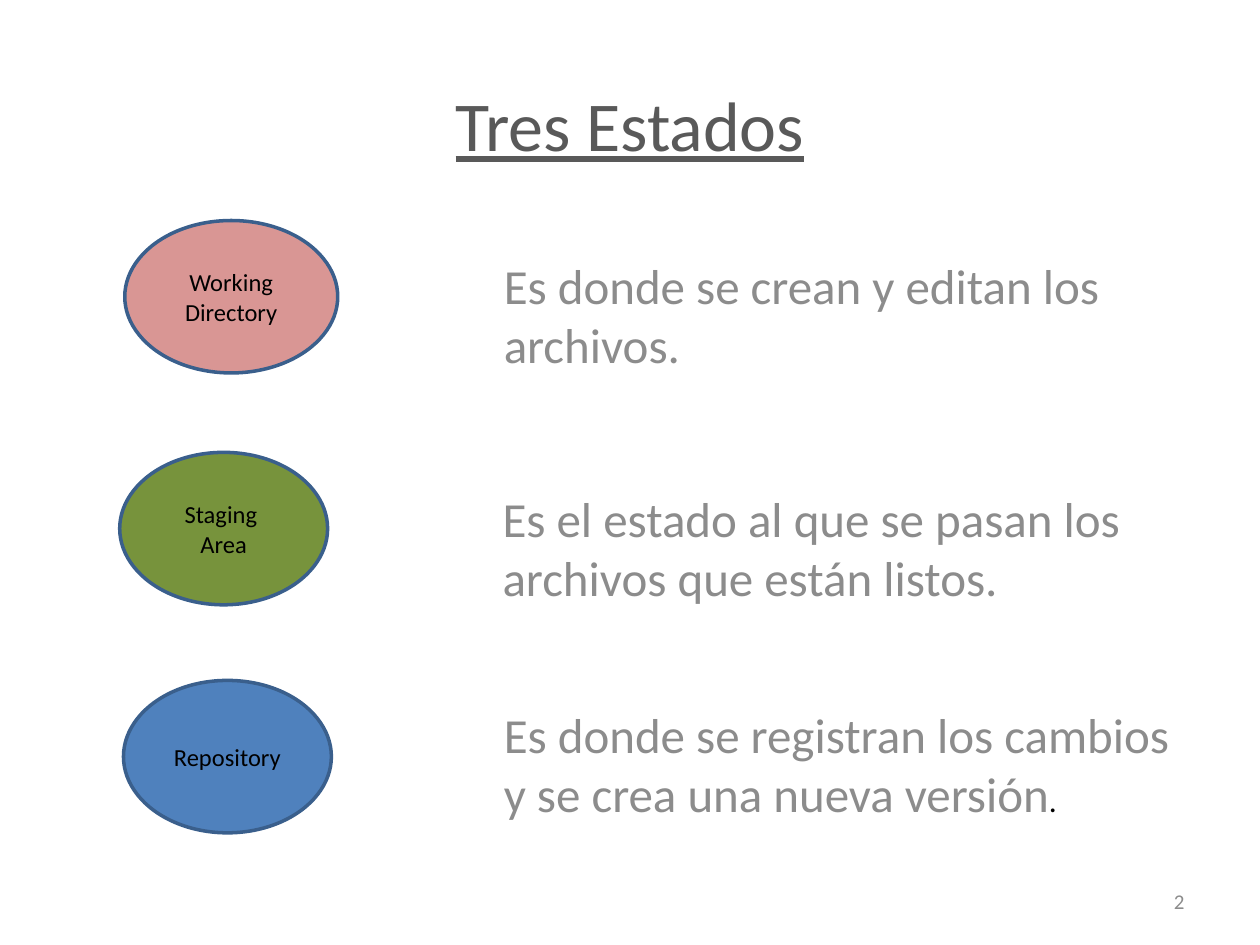
from typing import NamedTuple

from pptx import Presentation
from pptx.dml.color import RGBColor
from pptx.enum.shapes import MSO_SHAPE as Shape
from pptx.enum.text import MSO_ANCHOR as Anchor, MSO_AUTO_SIZE as AutoSize, PP_ALIGN as Align
from pptx.slide import Slide
from pptx.text.text import Font
from pptx.util import Inches, Pt

TITLE_GRAY = RGBColor(0x59, 0x59, 0x59)
TEXT_GRAY = RGBColor(0x8C, 0x8C, 0x8C)
BLACK = RGBColor(0, 0, 0)
OUTLINE = RGBColor(0x3A, 0x5F, 0x8C)
PINK = RGBColor(0xD9, 0x96, 0x94)
GREEN = RGBColor(0x77, 0x93, 0x3C)
BLUE = RGBColor(0x4F, 0x81, 0xBD)


class Box(NamedTuple):
    left: float
    top: float
    width: float
    height: float

    def lengths(self) -> list[Inches]:
        return [Inches(value) for value in self]


class State(NamedTuple):
    name: str
    fill: RGBColor
    oval: Box
    description: str
    description_box: Box
    ending: str = ""


STATES = [
    State("Working Directory", PINK, Box(0.99, 1.75, 1.69, 1.21),
          "Es donde se crean y editan los archivos.",
          Box(3.9, 1.98, 5.57, 1.04)),
    State("Staging \vArea", GREEN, Box(0.95, 3.59, 1.65, 1.21),
          "Es el estado al que se pasan los archivos que están listos.",
          Box(3.89, 3.83, 5.43, 1.04)),
    State("Repository", BLUE, Box(0.98, 5.4, 1.65, 1.21),
          "Es donde se registran los cambios y se crea una nueva versión",
          Box(3.9, 5.54, 5.57, 1.04), "."),
]


def style(font: Font, size: int, color: RGBColor) -> None:
    font.name = "Calibri"
    font.size = Pt(size)
    font.color.rgb = color


def add_title(slide: Slide, text: str, box: Box) -> None:
    title = slide.shapes.title
    title.left, title.top, title.width, title.height = box.lengths()
    frame = title.text_frame
    frame.text = text
    frame.vertical_anchor = Anchor.TOP
    paragraph = frame.paragraphs[0]
    paragraph.alignment = Align.CENTER
    style(paragraph.font, 40, TITLE_GRAY)
    paragraph.font.underline = True


def add_oval(slide: Slide, state: State) -> None:
    oval = slide.shapes.add_shape(Shape.OVAL, *state.oval.lengths())
    oval.shadow.inherit = False
    oval.fill.solid()
    oval.fill.fore_color.rgb = state.fill
    oval.line.color.rgb = OUTLINE
    oval.line.width = Pt(2)
    frame = oval.text_frame
    frame.word_wrap = True
    frame.vertical_anchor = Anchor.MIDDLE
    frame.text = state.name
    paragraph = frame.paragraphs[0]
    paragraph.alignment = Align.CENTER
    style(paragraph.font, 14, BLACK)


def add_description(slide: Slide, state: State) -> None:
    frame = slide.shapes.add_textbox(*state.description_box.lengths()).text_frame
    frame.word_wrap = True
    frame.auto_size = AutoSize.SHAPE_TO_FIT_TEXT
    frame.text = state.description
    paragraph = frame.paragraphs[0]
    style(paragraph.font, 28, TEXT_GRAY)
    if state.ending:
        ending = paragraph.add_run()
        ending.text = state.ending
        style(ending.font, 18, BLACK)


def add_page_number(slide: Slide, number: int, box: Box) -> None:
    frame = slide.shapes.add_textbox(*box.lengths()).text_frame
    frame.word_wrap = True
    frame.vertical_anchor = Anchor.MIDDLE
    frame.text = str(number)
    paragraph = frame.paragraphs[0]
    paragraph.alignment = Align.RIGHT
    style(paragraph.font, 12, TEXT_GRAY)


def main() -> None:
    presentation = Presentation()
    presentation.slide_width = Inches(10)
    presentation.slide_height = Inches(7.5)
    slide = presentation.slides.add_slide(presentation.slide_layouts.get_by_name("Title Only"))

    add_title(slide, "Tres Estados", Box(0.5, 0.6, 9, 6.1))
    for state in STATES:
        add_oval(slide, state)
    for state in STATES:
        add_description(slide, state)
    add_page_number(slide, 2, Box(7.17, 6.95, 2.33, 0.4))

    presentation.save("out.pptx")


if __name__ == "__main__":
    main()
